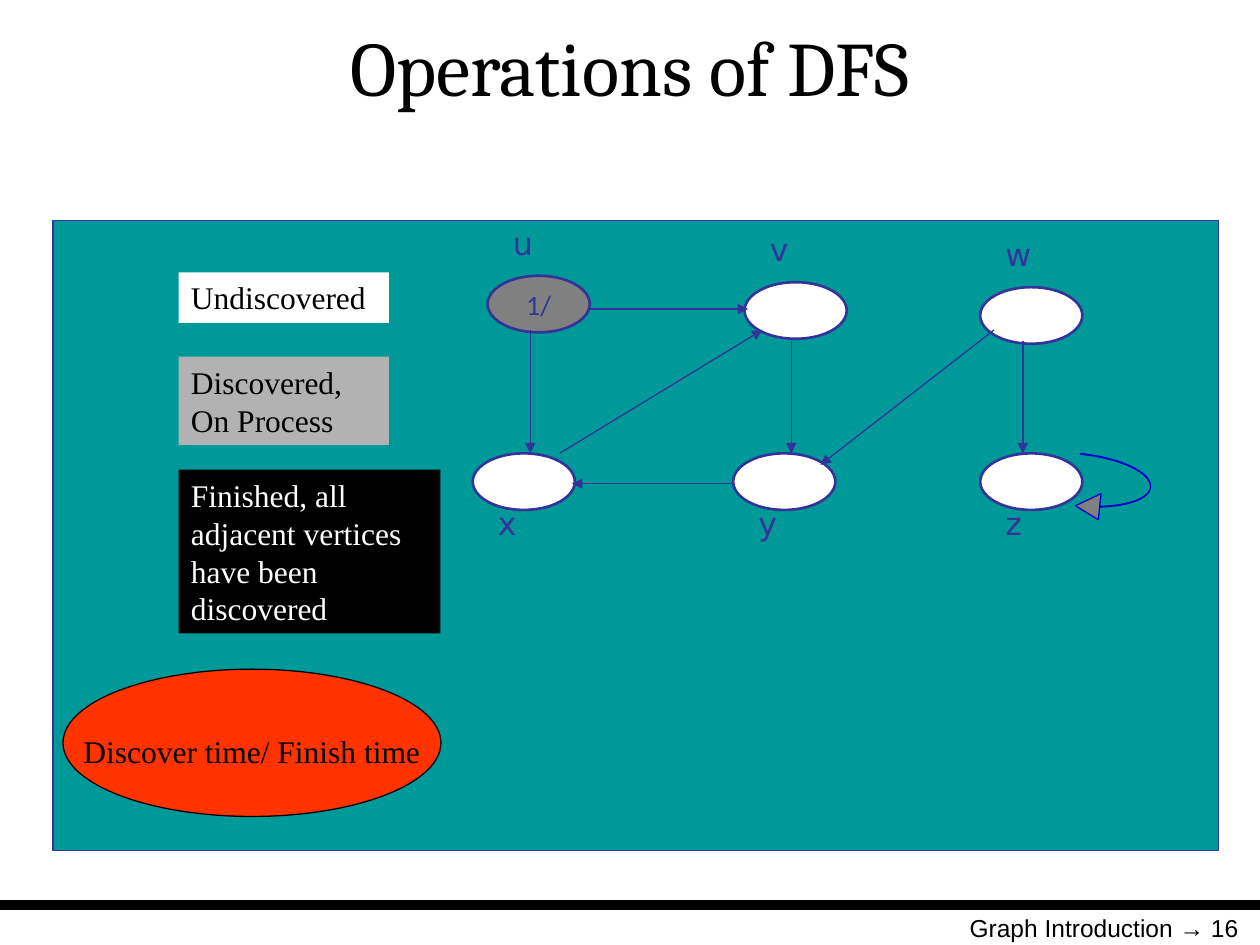
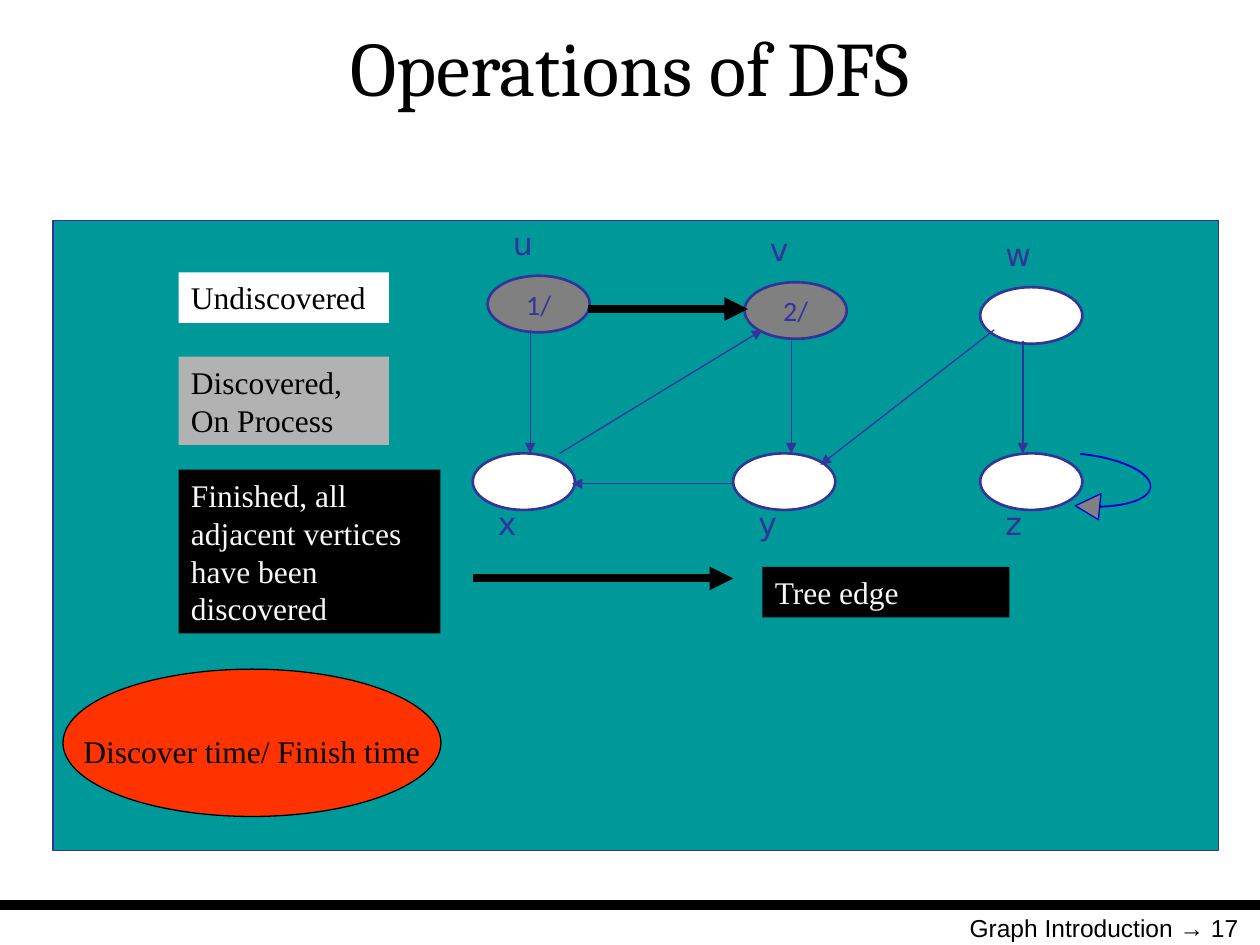
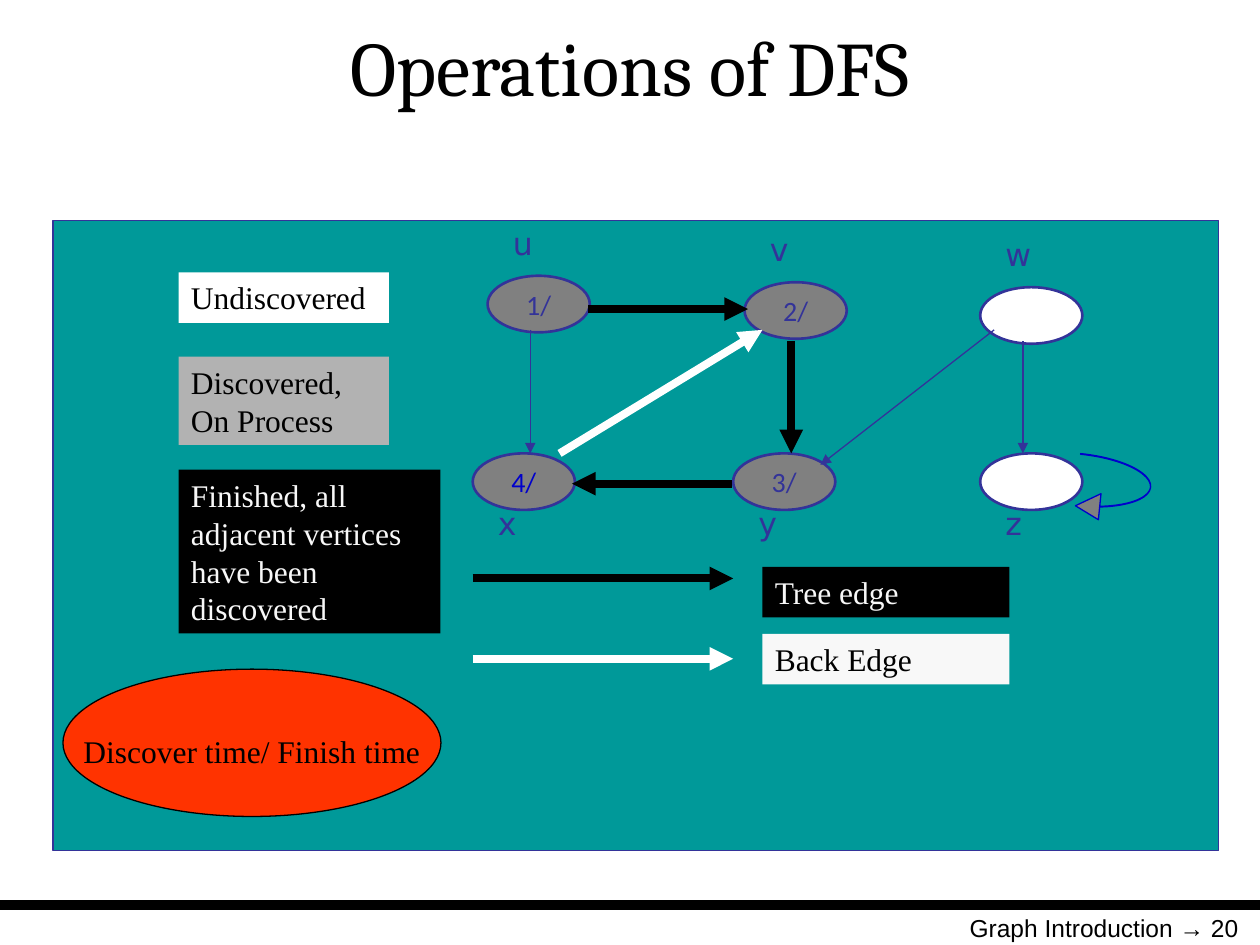
"""Build three slides that step through a depth-first search."""
import dataclasses

import pptx
import pptx.dml.color
import pptx.enum.shapes
import pptx.enum.text
import pptx.oxml.ns
import pptx.util
from lxml import etree

Cm = pptx.util.Cm
SHAPE = pptx.enum.shapes.MSO_SHAPE
ALIGN = pptx.enum.text.PP_ALIGN
ANCHOR = pptx.enum.text.MSO_ANCHOR


@dataclasses.dataclass(frozen=True)
class Theme:
    black: str = "000000"
    white: str = "FFFFFF"
    off_white: str = "F8F8F8"
    indigo: str = "333399"
    blue: str = "0000CC"
    teal: str = "009999"
    gray: str = "808080"
    light_gray: str = "B2B2B2"
    red: str = "FF3300"
    title: tuple = ("Cambria", 44)
    footer: tuple = ("Arial", 14)
    label: tuple = ("DejaVu Sans", 18)
    time: tuple = ("Calibri", 16)
    legend: tuple = ("Times New Roman", 18)
    thin: float = 0.75
    outline: float = 1.5
    thick: float = 4.5
    rule: float = 6


THEME = Theme()
NODE_WIDTH, NODE_HEIGHT, ROW_HEIGHT = 2.06, 1.14, 1.02
LABEL_ABOVE, LABEL_BELOW = -1.17, 0.89
NODES = {
    "x": (9.53, 9.14, LABEL_BELOW, THEME.blue),
    "z": (19.76, 9.14, LABEL_BELOW, THEME.indigo),
    "y": (14.78, 9.14, LABEL_BELOW, THEME.indigo),
    "w": (19.76, 5.79, LABEL_ABOVE, THEME.indigo),
    "v": (15.01, 5.69, LABEL_ABOVE, THEME.indigo),
    "u": (9.83, 5.56, LABEL_ABOVE, THEME.indigo),
}
EDGES = {
    "uv": (11.86, 6.23, 15.08, 6.23),
    "yx": (14.76, 9.75, 11.53, 9.75),
    "vy": (15.95, 6.88, 15.95, 9.14),
    "ux": (10.69, 6.65, 10.69, 9.14),
    "wz": (20.62, 6.88, 20.62, 9.14),
    "wy": (20.04, 6.65, 16.54, 9.37),
    "xv": (11.28, 9.14, 15.37, 6.65),
}
EDGE_KINDS = {
    "tree": ("Tree edge", THEME.black, THEME.black, THEME.off_white, 11.66, 11.43),
    "back": ("Back Edge", THEME.white, THEME.off_white, THEME.black, 13.28, 12.78),
}
STEPS = [
    (16, {"u": "1/"}, {}, THEME.white),
    (17, {"u": "1/", "v": "2/"}, {"tree": ["uv"]}, THEME.off_white),
    (20, {"u": "1/", "v": "2/", "y": "3/", "x": "4/"},
     {"tree": ["uv", "yx", "vy"], "back": ["xv"]}, THEME.off_white),
]


def add_box(page, kind, area, fill=None, line=None, width=THEME.thin,
            text="", style=THEME.legend, ink=THEME.black, align=ALIGN.LEFT):
    """Add a preset shape, or a text box when kind is None."""
    lengths = [Cm(length) for length in area]
    if kind is None:
        box = page.shapes.add_textbox(*lengths)
    else:
        box = page.shapes.add_shape(kind, *lengths)
        box.shadow.inherit = False
        box.fill.solid()
        box.fill.fore_color.rgb = pptx.dml.color.RGBColor.from_string(fill)
        if line:
            box.line.color.rgb = pptx.dml.color.RGBColor.from_string(line)
            box.line.width = pptx.util.Pt(width)
        else:
            box.line.fill.background()
    if text:
        frame = box.text_frame
        frame.text = text
        frame.word_wrap = kind != SHAPE.OVAL
        frame.vertical_anchor = ANCHOR.MIDDLE if kind == SHAPE.OVAL else ANCHOR.TOP
        para = frame.paragraphs[0]
        para.alignment = align
        font = para.runs[0].font
        font.name, font.size = style[0], pptx.util.Pt(style[1])
        font.color.rgb = pptx.dml.color.RGBColor.from_string(ink)
    return box


def add_line(page, ends, color, width, arrow=True):
    """Add a straight line, with an arrowhead at its end by default."""
    line = page.shapes.add_connector(
        pptx.enum.shapes.MSO_CONNECTOR.STRAIGHT, *[Cm(length) for length in ends])
    line.line.color.rgb = pptx.dml.color.RGBColor.from_string(color)
    line.line.width = pptx.util.Pt(width)
    properties = line._element.spPr
    if arrow:
        stroke = properties.find(pptx.oxml.ns.qn("a:ln"))
        etree.SubElement(stroke, pptx.oxml.ns.qn("a:tailEnd"), type="triangle")
    etree.SubElement(properties, pptx.oxml.ns.qn("a:effectLst"))
    return line


deck = pptx.Presentation()
deck.slide_width, deck.slide_height = Cm(25.4), Cm(19.05)
layout = deck.slide_layouts[5]
layout_title = layout.placeholders[0]
layout_title.left, layout_title.top = Cm(0.13), Cm(0.18)
layout_title.width, layout_title.height = Cm(25.15), Cm(2.29)

for number, times, marked, finished_ink in STEPS:
    page = deck.slides.add_slide(layout)
    if number == STEPS[0][0]:
        rule = add_line(page, (0, 18.24, 25.4, 18.24), THEME.black, THEME.rule, arrow=False)
        layout.shapes._spTree.append(rule._element)

    title = page.shapes.title
    title.text_frame.text = "Operations of DFS"
    title.text_frame.vertical_anchor = ANCHOR.MIDDLE
    para = title.text_frame.paragraphs[0]
    para.alignment = ALIGN.CENTER
    span = para.runs[0]
    span.font.name, span.font.size = THEME.title[0], pptx.util.Pt(THEME.title[1])
    span.font.color.rgb = pptx.dml.color.RGBColor.from_string(THEME.black)

    add_box(page, None, (18.24, 18.29, 6.98, 1.32), text=f"Graph Introduction → {number}",
            style=THEME.footer, align=ALIGN.RIGHT)
    add_box(page, SHAPE.RECTANGLE, (1.07, 4.45, 23.5, 12.7), THEME.teal, THEME.indigo)

    self_loop = add_box(page, SHAPE.CURVED_DOWN_ARROW, (21.79, 9.14, 1.32, 1.47),
                        THEME.gray, THEME.blue)
    self_loop.rotation = 95.8
    for index, value in enumerate((0.01, 0.4, 0.37)):
        self_loop.adjustments[index] = value

    for name, (left, top, label_offset, ink) in NODES.items():
        fill = THEME.gray if name in times else THEME.white
        add_box(page, SHAPE.OVAL, (left, top, NODE_WIDTH, NODE_HEIGHT), fill, THEME.indigo,
                THEME.outline, times.get(name, ""), THEME.time, ink, ALIGN.CENTER)
        label = add_box(page, None, (left + 0.05, top + label_offset, NODE_WIDTH, ROW_HEIGHT),
                        text=name, style=THEME.label, ink=THEME.indigo)
        label.text_frame.margin_left = Cm(0.46)

    edge_kinds = {edge: kind for kind, edges in marked.items() for edge in edges}
    for edge, ends in EDGES.items():
        if edge in edge_kinds:
            add_line(page, ends, EDGE_KINDS[edge_kinds[edge]][1], THEME.thick)
        else:
            add_line(page, ends, THEME.indigo, THEME.thin)

    for kind in marked:
        text, color, fill, ink, line_top, box_top = EDGE_KINDS[kind]
        add_line(page, (9.53, line_top, 14.78, line_top), color, THEME.thick)
        add_box(page, SHAPE.RECTANGLE, (15.37, box_top, 4.98, ROW_HEIGHT), fill,
                text=text, ink=ink)

    for text, top, width, height, fill, ink in (
        ("Undiscovered", 5.49, 4.24, ROW_HEIGHT, THEME.white, THEME.black),
        ("Discovered, On Process", 7.19, 4.24, 1.78, THEME.light_gray, THEME.black),
        ("Finished, all adjacent vertices have been discovered", 9.47, 5.28, 3.3,
         THEME.black, finished_ink),
    ):
        add_box(page, SHAPE.RECTANGLE, (3.6, top, width, height), fill, text=text, ink=ink)

    time_key = add_box(page, SHAPE.OVAL, (1.27, 13.49, 7.62, 2.97), THEME.red, THEME.black,
                       text="Discover time/ Finish time", align=ALIGN.CENTER)
    time_key.text_frame.margin_top = Cm(0.46)

deck.save("out.pptx")
